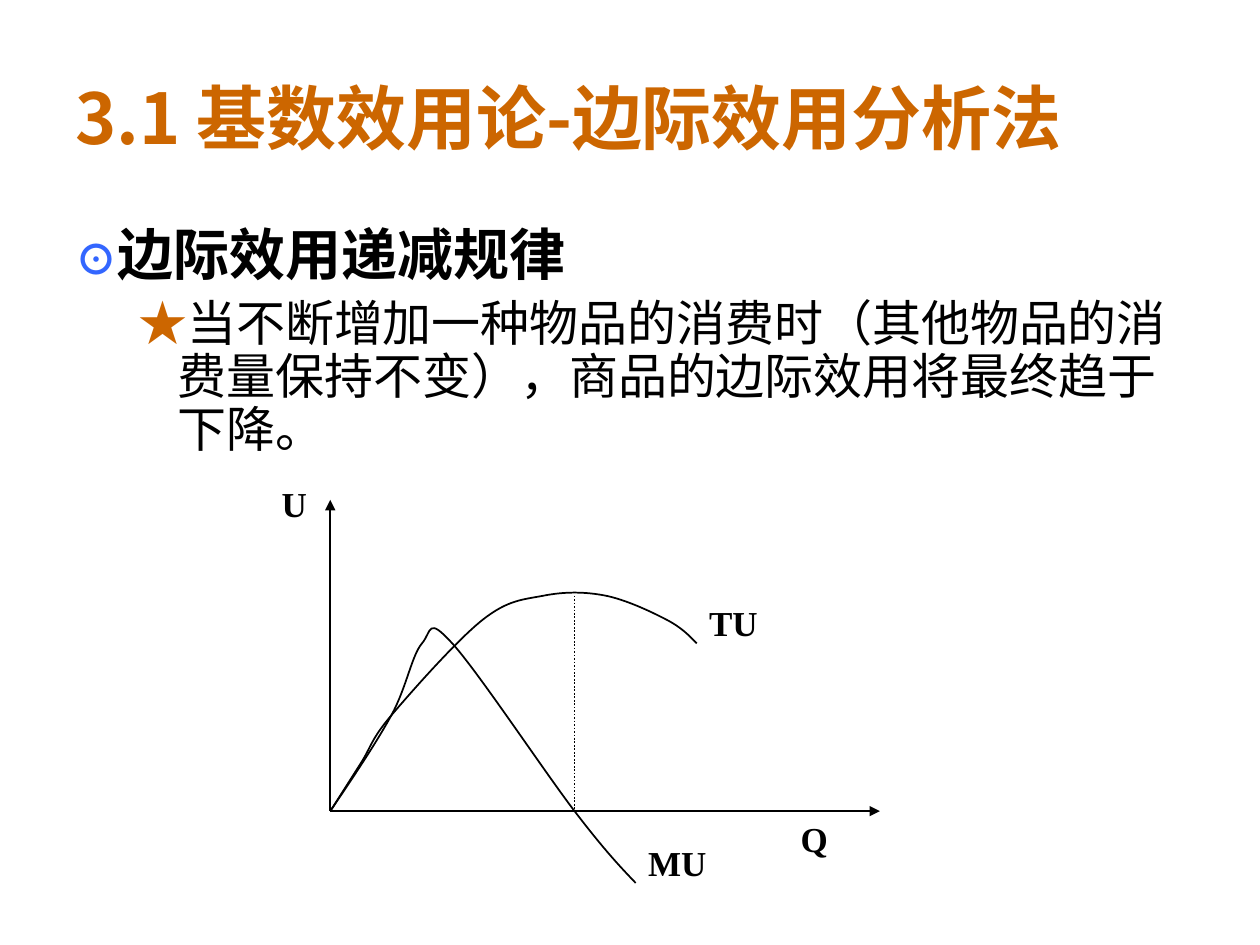
import pptx
import pptx.util
import pptx.dml.color
import pptx.enum.dml
import pptx.enum.lang
import pptx.enum.shapes
import pptx.enum.text
import pptx.oxml
import pptx.oxml.ns

Pt = pptx.util.Pt
Align = pptx.enum.text.PP_ALIGN
Anchor = pptx.enum.text.MSO_ANCHOR
BLACK = pptx.dml.color.RGBColor(0x00, 0x00, 0x00)
ORANGE = pptx.dml.color.RGBColor(0xCC, 0x66, 0x00)
BLUE = pptx.dml.color.RGBColor(0x33, 0x66, 0xFF)
CHINESE = "Noto Sans CJK SC"
LATIN = "Times New Roman"

# Content: spans are (text, size, colour, bold)
TITLE = [("3.1 基数效用论-边际效用分析法", 40, ORANGE, True)]
HEADING = [("⊙", 24, BLUE, True), ("边际效用递减规律", 32, BLACK, True)]
RULE = [
    ("★", 28, ORANGE, False),
    ("当不断增加一种物品的消费时（其他物品的消费量保持不变），"
     "商品的边际效用将最终趋于下降。", 28, BLACK, False),
]

# Diagram in grid units, measured right and up from the origin
ORIGIN_X, ORIGIN_Y = 188.75, 463.5
STEP_X, STEP_Y = 17.45, 13.68
AXES = [((0, 0), (0, 13)), ((0, 0), (18, 0))]
PEAK_LINE = ((8, 9), (8, 0))
CURVES = {
    "TU": [(0, 0), (1, 2), (2, 4), (5, 8), (7, 9), (9, 9), (11, 8), (12, 7)],
    "MU": [(0, 0), (2, 4), (3, 7), (4, 7), (8, 0), (10, -3)],
}
LABELS = [("TU", 12, 9), ("MU", 10, -1), ("Q", 15, 0), ("U", -2, 14)]
LABEL_SIZE = (4 * STEP_X, 3 * STEP_Y)

deck = pptx.Presentation()
deck.slide_width, deck.slide_height = Pt(720), Pt(540)
page = deck.slides.add_slide(deck.slide_layouts[6])


def grid(point):
    """Turn grid units into a place on the page."""
    return Pt(ORIGIN_X + point[0] * STEP_X), Pt(ORIGIN_Y - point[1] * STEP_Y)


def add_text(paragraphs, left, top, width, height, font=CHINESE,
             anchor=Anchor.TOP, align=Align.LEFT, spacing=None, indents=(), before=0):
    box = page.shapes.add_textbox(left, top, width, height)
    frame = box.text_frame
    frame.word_wrap = True
    frame.vertical_anchor = anchor
    for index, spans in enumerate(paragraphs):
        para = frame.paragraphs[0] if index == 0 else frame.add_paragraph()
        para.alignment = align
        if spacing:
            para.line_spacing = spacing
        if index:
            para.space_before = Pt(before)
        if indents:
            margin, first = indents[index]
            properties = para._p.get_or_add_pPr()
            properties.set("marL", str(Pt(margin)))
            properties.set("indent", str(Pt(first)))
        for text, size, color, bold in spans:
            span = para.add_run()
            span.text = text
            span.font.name = font
            span.font.size = Pt(size)
            span.font.bold = bold
            span.font.color.rgb = color
            if font == CHINESE:
                span.font.language_id = pptx.enum.lang.MSO_LANGUAGE_ID.SIMPLIFIED_CHINESE
            east_asian = pptx.oxml.parse_xml(
                f'<a:ea {pptx.oxml.ns.nsdecls("a")} typeface="{font}"/>')
            span._r.rPr.find(pptx.oxml.ns.qn("a:latin")).addnext(east_asian)


def add_line(start, end, arrow=False, dash=None):
    line = page.shapes.add_connector(
        pptx.enum.shapes.MSO_CONNECTOR.STRAIGHT, *grid(start), *grid(end))
    line.line.color.rgb = BLACK
    line.line.width = Pt(1)
    if dash:
        line.line.dash_style = dash
    if arrow:
        line.line._get_or_add_ln().append(pptx.oxml.parse_xml(
            f'<a:tailEnd {pptx.oxml.ns.nsdecls("a")} type="triangle"/>'))
    line._element.spPr.append(pptx.oxml.parse_xml(
        f'<a:effectLst {pptx.oxml.ns.nsdecls("a")}/>'))


def middle(first, second):
    return tuple((a + b) / 2 for a, b in zip(first, second))


def bezier_points(nodes):
    """Smooth the nodes: each tangent runs parallel to the neighbours' chord."""
    def control(index, sign):
        before, here, after = nodes[index - 1:index + 2]
        return tuple(h + sign * (a - b) / 6 for b, h, a in zip(before, here, after))

    last = len(nodes) - 1
    points = []
    for index in range(last):
        start, end = nodes[index], nodes[index + 1]
        leave = control(index, 1) if index else middle(start, control(1, -1))
        arrive = control(index + 1, -1) if index + 1 < last else middle(end, leave)
        points += [leave, arrive, end]
    return points


def add_curve(nodes):
    builder = page.shapes.build_freeform(*grid(nodes[0]))
    builder.add_line_segments([grid(point) for point in bezier_points(nodes)], close=False)
    curve = builder.convert_to_shape()
    curve.shadow.inherit = False
    curve.fill.background()
    curve.line.color.rgb = BLACK
    curve.line.width = Pt(1)
    # Each three straight segments become one cubic segment
    segments = list(curve._element.iter(pptx.oxml.ns.qn("a:lnTo")))
    for index in range(0, len(segments), 3):
        cubic = pptx.oxml.parse_xml(f'<a:cubicBezTo {pptx.oxml.ns.nsdecls("a")}/>')
        segments[index].addprevious(cubic)
        for segment in segments[index:index + 3]:
            cubic.append(segment[0])
            segment.getparent().remove(segment)


# Title and text
add_text([TITLE], Pt(36), Pt(21.6), Pt(648), Pt(90), anchor=Anchor.MIDDLE)
add_text([HEADING, RULE], Pt(36), Pt(126), Pt(648), Pt(150),
         spacing=0.9, indents=[(27, -27), (58.5, -22.5)], before=7)

# Diagram
for axis in AXES:
    add_line(*axis, arrow=True)
add_line(*PEAK_LINE, dash=pptx.enum.dml.MSO_LINE.ROUND_DOT)
for curve_nodes in CURVES.values():
    add_curve(curve_nodes)
for label, column, row in LABELS:
    add_text([[(label, 20, BLACK, True)]], *grid((column, row)),
             *map(Pt, LABEL_SIZE), font=LATIN, align=Align.JUSTIFY)

deck.save("out.pptx")
